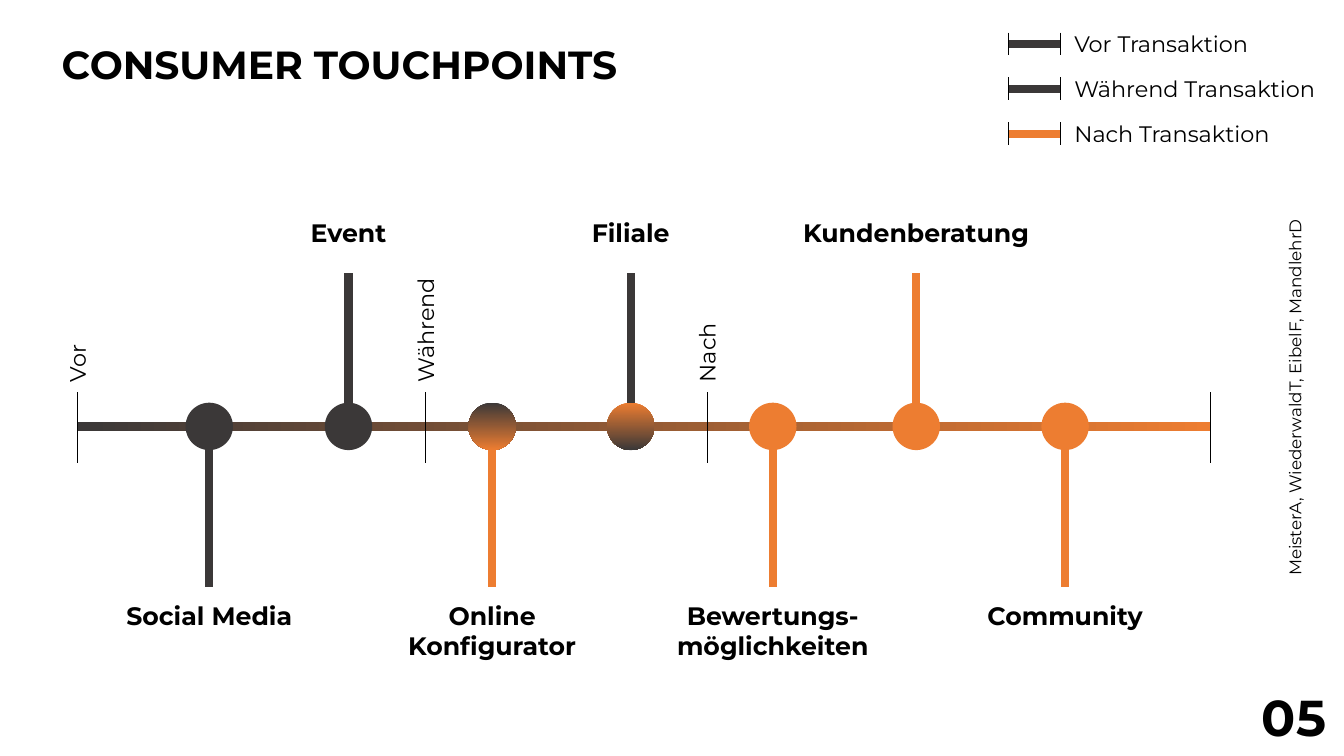
"""Build the consumer touchpoints timeline slide, with lengths in percent of the slide."""
from typing import NamedTuple, Optional

from lxml.etree import SubElement
from pptx import Presentation
from pptx.dml.color import RGBColor
from pptx.enum.shapes import MSO_CONNECTOR as Connector, MSO_SHAPE as Shape
from pptx.enum.text import MSO_ANCHOR as Anchor, PP_ALIGN as Align
from pptx.oxml.ns import qn
from pptx.util import Emu, Inches, Pt

BLACK = RGBColor(0x00, 0x00, 0x00)
DARK = RGBColor(0x3B, 0x38, 0x38)
ORANGE = RGBColor(0xED, 0x7D, 0x31)

WIDTH, HEIGHT = Inches(13.33), Inches(7.5)
AXIS_START, AXIS_END, AXIS_Y, AXIS_THICKNESS = 5.75, 90.05, 56.4, 1.2
TICK_TOP, TICK_BOTTOM = 51.87, 61.2
STEM_TOP, STEM_BOTTOM = 36.15, 77.6
LABEL_TOP, LABEL_BOTTOM, LABEL_HEIGHT = 28.15, 78.7, 5.4
DOT = 3.53
KEY_LEFT, KEY_RIGHT, KEY_TOP, KEY_STEP, KEY_TICK = 75.05, 78.93, 5.8, 5.95, 1.5
STEM_WEIGHT, TICK_WEIGHT = 6, 0.5

HEADLINE = {"size": Pt(28), "bold": True}
NUMBER = {"size": Pt(36), "bold": True}
LABEL = {"size": Pt(18), "bold": True}
PLAIN = {"size": Pt(16)}
CREDIT = {"size": Pt(12)}


class Box(NamedTuple):
    left: float
    top: float
    width: float
    height: float


class Touchpoint(NamedTuple):
    label: list[str]
    x: float
    label_width: float
    above: bool
    stem: RGBColor
    dot: RGBColor
    dot_end: Optional[RGBColor] = None


class Phase(NamedTuple):
    name: str
    x: float
    length: float


class KeyEntry(NamedTuple):
    label: str
    color: RGBColor


TOUCHPOINTS = [
    Touchpoint(["Social Media"], 15.57, 14.1, False, DARK, DARK),
    Touchpoint(["Event"], 25.93, 14.1, True, DARK, DARK),
    Touchpoint(["Online Konfigurator"], 36.62, 15.6, False, ORANGE, DARK, ORANGE),
    Touchpoint(["Filiale"], 46.93, 14.1, True, DARK, ORANGE, DARK),
    Touchpoint(["Bewertungs-", "möglichkeiten"], 57.5, 16.6, False, ORANGE, ORANGE),
    Touchpoint(["Kundenberatung"], 68.17, 19.6, True, ORANGE, ORANGE),
    Touchpoint(["Community"], 79.25, 16.6, False, ORANGE, ORANGE),
]
PHASES = [
    Phase("Vor", 5.75, 5.93),
    Phase("Während", 31.65, 9.6),
    Phase("Nach", 52.6, 6.53),
]
KEY = [
    KeyEntry("Vor Transaktion", DARK),
    KeyEntry("Während Transaktion", DARK),
    KeyEntry("Nach Transaktion", ORANGE),
]


def across(share: float) -> Emu:
    """Turn a percentage of the slide width into a length."""
    return Emu(round(WIDTH * share / 100))


def down(share: float) -> Emu:
    """Turn a percentage of the slide height into a length."""
    return Emu(round(HEIGHT * share / 100))


def place(box: Box) -> tuple[Emu, Emu, Emu, Emu]:
    """Turn a box of percentages into lengths."""
    return across(box.left), down(box.top), across(box.width), down(box.height)


def add_text(slide, lines: list[str], box: Box, style: dict, align=Align.LEFT,
             anchor=Anchor.TOP, spacing: float = 1.0):
    """Add a wrapping text box with one paragraph per line."""
    textbox = slide.shapes.add_textbox(*place(box))
    frame = textbox.text_frame
    frame.word_wrap = True
    frame.vertical_anchor = anchor
    frame.text = "\n".join(lines)
    for paragraph in frame.paragraphs:
        paragraph.alignment = align
        paragraph.line_spacing = spacing
        for run in paragraph.runs:
            for attribute, value in {"name": "Montserrat", **style}.items():
                setattr(run.font, attribute, value)
            run.font.color.rgb = BLACK
    return textbox


def add_upright_text(slide, text: str, x: float, middle: float, length: float,
                     thickness: float, style: dict, **layout) -> None:
    """Add text that reads upwards, centred on a point."""
    box = Box(x - length / 2, middle - thickness / 2, length, thickness)
    add_text(slide, [text], box, style, **layout).rotation = 270


def add_line(slide, x1: float, y1: float, x2: float, y2: float,
             color: RGBColor, weight: float) -> None:
    """Add a straight line without a shadow."""
    line = slide.shapes.add_connector(
        Connector.STRAIGHT, across(x1), down(y1), across(x2), down(y2))
    line.line.color.rgb = color
    line.line.width = Pt(weight)
    SubElement(line._element.spPr, qn("a:effectLst"))


def add_filled(slide, kind: Shape, box: Box, start: RGBColor,
               end: Optional[RGBColor] = None, angle: float = 0) -> None:
    """Add an unlined shape, filled plainly or with a gradient."""
    shape = slide.shapes.add_shape(kind, *place(box))
    shape.shadow.inherit = False
    shape.line.fill.background()
    if end is None:
        shape.fill.solid()
        shape.fill.fore_color.rgb = start
        return
    shape.fill.gradient()
    shape.fill.gradient_angle = angle
    for stop, color, position in zip(shape.fill.gradient_stops, (start, end), (0, 1)):
        stop.color.rgb = color
        stop.position = position


def add_touchpoint(slide, point: Touchpoint) -> None:
    """Add the stem, dot and label of one touchpoint."""
    stem_end = STEM_TOP if point.above else STEM_BOTTOM
    label_top = LABEL_TOP if point.above else LABEL_BOTTOM
    dot_height = DOT * WIDTH / HEIGHT
    add_line(slide, point.x, AXIS_Y, point.x, stem_end, point.stem, STEM_WEIGHT)
    dot = Box(point.x - DOT / 2, AXIS_Y - dot_height / 2, DOT, dot_height)
    add_filled(slide, Shape.OVAL, dot, point.dot, point.dot_end, 270)
    label = Box(point.x - point.label_width / 2, label_top, point.label_width, LABEL_HEIGHT)
    add_text(slide, point.label, label, LABEL, Align.CENTER)


def add_key_entry(slide, entry: KeyEntry, y: float) -> None:
    """Add one bar with end ticks and its meaning."""
    add_line(slide, KEY_LEFT, y, KEY_RIGHT, y, entry.color, STEM_WEIGHT)
    for x in (KEY_LEFT, KEY_RIGHT):
        add_line(slide, x, y - KEY_TICK, x, y + KEY_TICK, BLACK, TICK_WEIGHT)
    add_text(slide, [entry.label], Box(79.2, y - 2.5, 20.4, 4.93), PLAIN)


def main() -> None:
    """Build and save the slide."""
    deck = Presentation()
    deck.slide_width, deck.slide_height = WIDTH, HEIGHT
    slide = deck.slides.add_slide(deck.slide_layouts[6])

    add_text(slide, ["CONSUMER TOUCHPOINTS"], Box(-2.7, 0.27, 55.9, 17.2), HEADLINE,
             Align.CENTER, Anchor.MIDDLE, 0.9)
    add_text(slide, ["05"], Box(93.15, 90.15, 6.85, 9.45), NUMBER)

    axis = Box(AXIS_START, AXIS_Y - AXIS_THICKNESS / 2, AXIS_END - AXIS_START, AXIS_THICKNESS)
    add_filled(slide, Shape.RECTANGLE, axis, DARK, ORANGE)
    for point in TOUCHPOINTS:
        add_touchpoint(slide, point)
    for x in [phase.x for phase in PHASES] + [AXIS_END]:
        add_line(slide, x, TICK_TOP, x, TICK_BOTTOM, BLACK, TICK_WEIGHT)
    for phase in PHASES:
        middle = TICK_TOP - phase.length * WIDTH / HEIGHT / 2
        add_upright_text(slide, phase.name, phase.x, middle, phase.length, 4.93, PLAIN)
    for row, entry in enumerate(KEY):
        add_key_entry(slide, entry, KEY_TOP + row * KEY_STEP)

    add_upright_text(slide, "MeisterA, WiederwaldT, EibelF, MandlehrD", 96.85, 52.6, 42.3,
                     5.2, CREDIT, align=Align.CENTER, spacing=0.9)
    deck.save("out.pptx")


if __name__ == "__main__":
    main()
